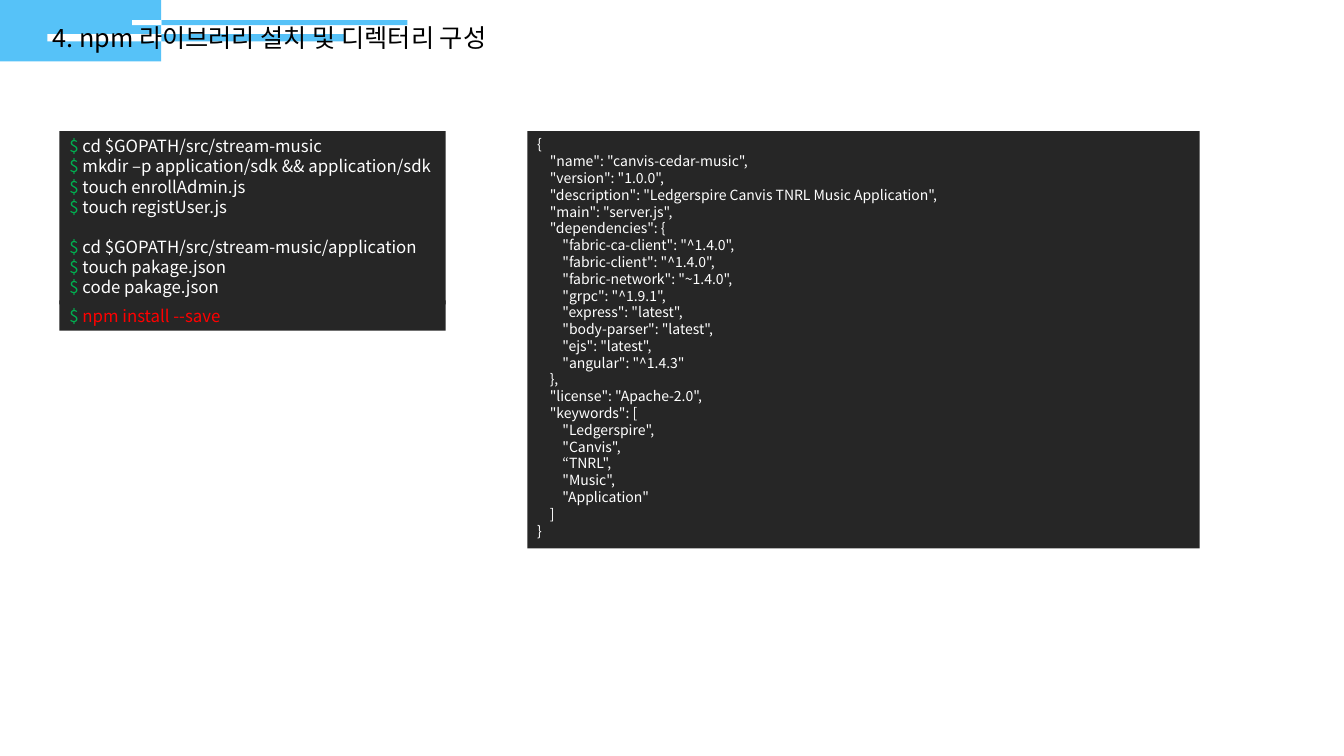
from dataclasses import dataclass

from lxml import etree
from pptx import Presentation
from pptx.dml.color import RGBColor
from pptx.enum.shapes import MSO_SHAPE
from pptx.enum.text import MSO_ANCHOR, MSO_AUTO_SIZE, PP_ALIGN
from pptx.oxml.ns import qn
from pptx.util import Inches, Pt

RECTANGLE = MSO_SHAPE.RECTANGLE
TOP, MIDDLE = MSO_ANCHOR.TOP, MSO_ANCHOR.MIDDLE
LEFT = PP_ALIGN.LEFT
FIXED_SIZE = MSO_AUTO_SIZE.NONE

TITLE = "4. npm 라이브러리 설치 및 디렉터리 구성"

COMMAND_GROUPS = [
    [
        "cd $GOPATH/src/stream-music",
        "mkdir –p application/sdk && application/sdk",
        "touch enrollAdmin.js",
        "touch registUser.js",
    ],
    [
        "cd $GOPATH/src/stream-music/application",
        "touch pakage.json",
        "code pakage.json",
    ],
]
INSTALL_COMMAND = "npm install --save"

PACKAGE_JSON = [
    '{',
    '"name": "canvis-cedar-music",',
    '"version": "1.0.0",',
    '"description": "Ledgerspire Canvis TNRL Music Application",',
    '"main": "server.js",',
    '"dependencies": {',
    '"fabric-ca-client": "^1.4.0",',
    '"fabric-client": "^1.4.0",',
    '"fabric-network": "~1.4.0",',
    '"grpc": "^1.9.1",',
    '"express": "latest",',
    '"body-parser": "latest",',
    '"ejs": "latest",',
    '"angular": "^1.4.3"',
    '},',
    '"license": "Apache-2.0",',
    '"keywords": [',
    '"Ledgerspire",',
    '"Canvis",',
    '“TNRL",',
    '"Music",',
    '"Application"',
    ']',
    '}',
]


@dataclass(frozen=True)
class Theme:
    font: str = "Noto Sans CJK KR"
    title_size: int = 18
    command_size: int = 12
    json_size: int = 10
    line_pitch: float = 1.2
    accent: RGBColor = RGBColor(0x56, 0xC2, 0xF8)
    paper: RGBColor = RGBColor(0xFF, 0xFF, 0xFF)
    ink: RGBColor = RGBColor(0x00, 0x00, 0x00)
    terminal: RGBColor = RGBColor(0x26, 0x26, 0x26)
    prompt: RGBColor = RGBColor(0x00, 0xB0, 0x50)
    highlight: RGBColor = RGBColor(0xFF, 0x00, 0x00)


THEME = Theme()

# Boxes are left, top, width, height in inches.
SLIDE_WIDTH, SLIDE_HEIGHT = 13.33, 7.5
TITLE_BOX = (0.42, 0.17, 4.99, 0.4)
PANEL_TOP = 1.3
COMMAND_LEFT, COMMAND_WIDTH = 0.59, 3.83
COMMAND_BOX = (COMMAND_LEFT, PANEL_TOP, COMMAND_WIDTH, 1.72)
INSTALL_BOX = (COMMAND_LEFT, 2.98, COMMAND_WIDTH, 0.3)
JSON_BOX = (5.23, PANEL_TOP, 6.67, 4.14)
JSON_INDENT_PT = 9

BLOCK_WIDTH, BLOCK_HEIGHT = 1.6, 0.61
# Each stripe crosses the block's right edge: start, end, top, height.
STRIPES = [(0.47, 3.41, 0.34, 0.07), (1.31, 4.04, 0.2, 0.05)]


def add_bar(shapes, box, color):
    bar = shapes.add_shape(RECTANGLE, *map(Inches, box))
    bar.shadow.inherit = False
    bar.fill.solid()
    bar.fill.fore_color.rgb = color
    bar.line.fill.background()
    return bar


def add_header_band(slide):
    """Draw the block with stripes that turn white where they cross it."""
    band = slide.shapes.add_group_shape().shapes
    add_bar(band, (0, 0, BLOCK_WIDTH, BLOCK_HEIGHT), THEME.accent)
    for start, end, top, height in STRIPES:
        add_bar(band, (BLOCK_WIDTH, top, end - BLOCK_WIDTH, height), THEME.accent)
        add_bar(band, (start, top, BLOCK_WIDTH - start, height), THEME.paper)


def place_title(slide):
    title = slide.shapes.title
    title.left, title.top, title.width, title.height = map(Inches, TITLE_BOX)
    frame = title.text_frame
    frame.text = TITLE
    frame.auto_size = FIXED_SIZE
    frame.word_wrap = False
    frame.vertical_anchor = MIDDLE
    paragraph = frame.paragraphs[0]
    paragraph.alignment = LEFT
    run = paragraph.runs[0]
    run.font.name = THEME.font
    run.font.size = Pt(THEME.title_size)
    run.font.color.rgb = THEME.ink
    hangul = etree.SubElement(run.font._element, qn("a:ea"))
    hangul.set("typeface", THEME.font)
    slide.shapes._spTree.append(title._element)  # in front of the band


def add_panel(slide, box, anchor):
    frame = add_bar(slide.shapes, box, THEME.terminal).text_frame
    frame.word_wrap = True
    frame.vertical_anchor = anchor
    return frame


def add_line(frame, size, *colored_parts):
    """Write one line of code, using the frame's first paragraph if unused."""
    first = frame.paragraphs[0]
    paragraph = frame.add_paragraph() if first.runs else first
    paragraph.alignment = LEFT
    paragraph.line_spacing = Pt(size * THEME.line_pitch)
    paragraph.font.name = THEME.font
    paragraph.font.size = Pt(size)
    for text, color in colored_parts:
        run = paragraph.add_run()
        run.text = text
        run.font.color.rgb = color
    return paragraph


def add_command(frame, command, color):
    return add_line(frame, THEME.command_size,
                    ("$ ", THEME.prompt), (command, color))


def add_commands(slide):
    frame = add_panel(slide, COMMAND_BOX, TOP)
    for group_number, commands in enumerate(COMMAND_GROUPS):
        for position, command in enumerate(commands):
            paragraph = add_command(frame, command, THEME.paper)
            if group_number and position == 0:
                paragraph.space_before = paragraph.line_spacing


def add_package_json(slide):
    """Indent each line by the number of brackets open around it."""
    frame = add_panel(slide, JSON_BOX, TOP)
    depth = 0
    for line in PACKAGE_JSON:
        depth -= line[0] in "}]"
        paragraph = add_line(frame, THEME.json_size, (line, THEME.paper))
        margin = Pt(depth * JSON_INDENT_PT)
        paragraph._p.get_or_add_pPr().set("marL", str(margin))
        depth += line[-1] in "{["


def main():
    deck = Presentation()
    deck.slide_width, deck.slide_height = Inches(SLIDE_WIDTH), Inches(SLIDE_HEIGHT)
    slide = deck.slides.add_slide(deck.slide_layouts.get_by_name("Title Only"))
    add_header_band(slide)
    add_commands(slide)
    place_title(slide)
    add_package_json(slide)
    add_command(add_panel(slide, INSTALL_BOX, MIDDLE),
                INSTALL_COMMAND, THEME.highlight)
    deck.save("out.pptx")


if __name__ == "__main__":
    main()
